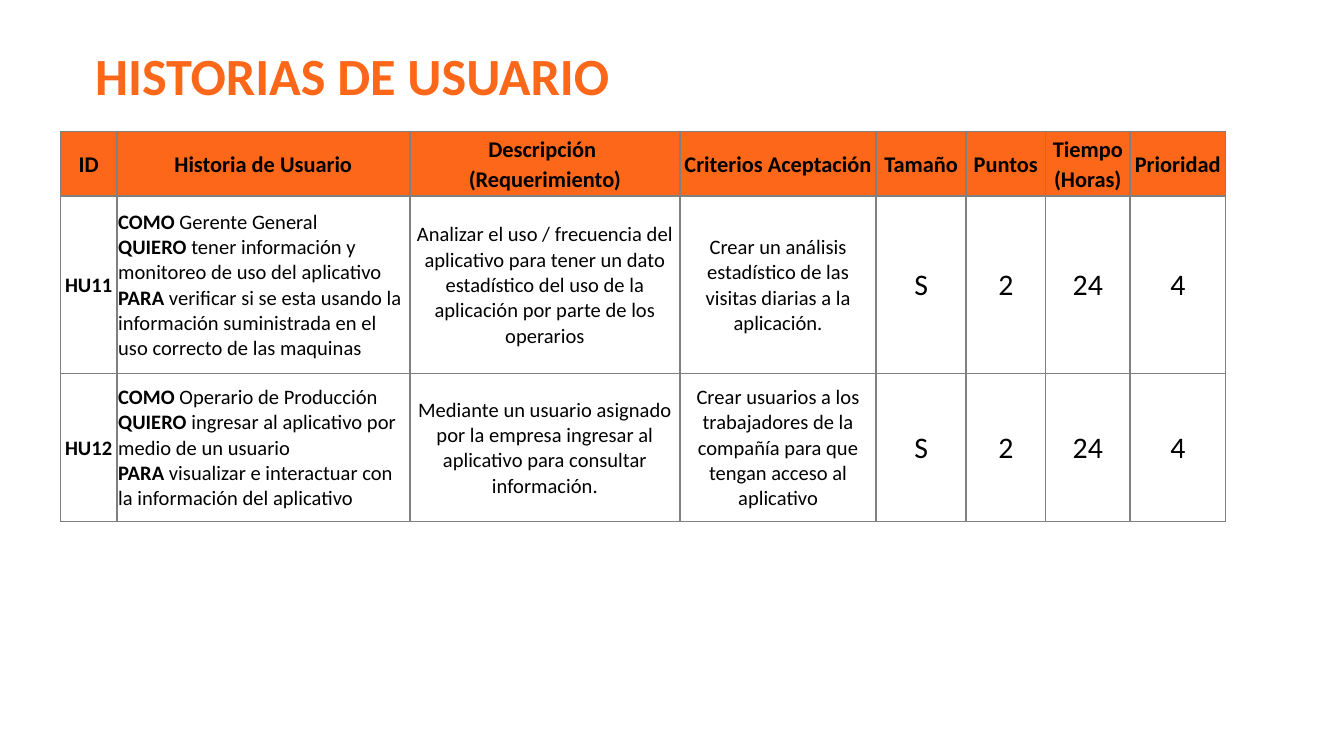
import copy

import pptx
import pptx.dml.color
import pptx.enum.text
import pptx.oxml
import pptx.oxml.ns
import pptx.util

Inches, Pt = pptx.util.Inches, pptx.util.Pt
ALIGN = pptx.enum.text.PP_ALIGN
ANCHOR = pptx.enum.text.MSO_ANCHOR

# Content: a story is a list of (keyword, rest of the line)
TITLE = "HISTORIAS DE USUARIO"
HEADERS = ["ID", "Historia de Usuario", "Descripción \v(Requerimiento)", "Criterios Aceptación",
           "Tamaño", "Puntos", "Tiempo (Horas)", "Prioridad"]
STORIES = [
    ["HU11",
     [("COMO", " Gerente General"),
      ("QUIERO", " tener información y monitoreo de uso del aplicativo"),
      ("PARA", " verificar si se esta usando la información suministrada en el uso correcto "
               "de las maquinas")],
     "Analizar el uso / frecuencia del aplicativo para tener un dato estadístico del uso "
     "de la aplicación por parte de los operarios",
     "Crear un análisis estadístico de las visitas diarias a la aplicación.",
     "S", "2", "24", "4"],
    ["HU12",
     [("COMO", " Operario de Producción"),
      ("QUIERO", " ingresar al aplicativo por medio de un usuario"),
      ("PARA", " visualizar e interactuar con la información del aplicativo")],
     "Mediante un usuario asignado por la empresa ingresar al aplicativo para consultar "
     "información.",
     "Crear usuarios a los trabajadores de la compañía para que tengan acceso al aplicativo",
     "S", "2", "24", "4"],
]

# Style and grid
COLORS = {"accent": "FC671A", "text": "000000", "border": "808080"}
FONT = "Calibri"
SLIDE_WIDTH = 10
SLIDE_HEIGHT = SLIDE_WIDTH * 9 / 16
TITLE_BOX = (0.61, 0.27, 4.48, 0.57)
TABLE_ORIGIN = (0.45, 0.98)
COLUMNS = [0.42, 2.18, 2.01, 1.46, 0.67, 0.59, 0.63, 0.71]
ROWS = [0.48, 1.32, 1.1]
STORY_COLUMN, FIRST_ESTIMATE_COLUMN = 1, 4


def format_run(run, size, bold, color):
    run.font.name = FONT
    run.font.size = Pt(size)
    run.font.bold = bold
    run.font.color.rgb = pptx.dml.color.RGBColor.from_string(COLORS[color])


def write_text(paragraph, content, size, bold, color="text"):
    if isinstance(content, str):
        paragraph.text = content
        for run in paragraph.runs:
            format_run(run, size, bold, color)
    else:
        for index, line in enumerate(content):
            if index:
                paragraph.add_line_break()
            for text, is_bold in zip(line, (True, False)):
                run = paragraph.add_run()
                run.text = text
                format_run(run, size, is_bold, color)
    # Line breaks take the size of the text around them
    for line_break in paragraph._p.findall(pptx.oxml.ns.qn("a:br")):
        line_break.append(copy.deepcopy(paragraph.runs[0].font._element))


def set_borders(cell):
    properties = cell._tc.get_or_add_tcPr()
    for index, side in enumerate(("lnL", "lnR", "lnT", "lnB")):
        properties.insert(index, pptx.oxml.parse_xml(
            f'<a:{side} {pptx.oxml.ns.nsdecls("a")} w="{Pt(1)}"><a:solidFill>'
            f'<a:srgbClr val="{COLORS["border"]}"/></a:solidFill></a:{side}>'))


def fill_cell(cell, content, row, column):
    is_header = row == 0
    is_estimate = not is_header and column >= FIRST_ESTIMATE_COLUMN
    is_spaced = is_header or (is_estimate and row == len(ROWS) - 1)

    cell.vertical_anchor = ANCHOR.MIDDLE
    cell.margin_left = cell.margin_right = Inches(0.03 if is_spaced else 0.01)
    cell.margin_top = Inches(0 if is_spaced else 0.01)
    cell.margin_bottom = 0
    if is_header:
        cell.fill.solid()
        cell.fill.fore_color.rgb = pptx.dml.color.RGBColor.from_string(COLORS["accent"])
    else:
        cell.fill.background()
    set_borders(cell)

    paragraph = cell.text_frame.paragraphs[0]
    is_story = not is_header and column == STORY_COLUMN
    paragraph.alignment = ALIGN.LEFT if is_story else ALIGN.CENTER
    if is_spaced:
        paragraph.line_spacing = 1.07
        paragraph.space_after = Pt(8)
    size = 12 if is_header else 16 if is_estimate else 11
    write_text(paragraph, content, size, is_header or column == 0)


def main():
    presentation = pptx.Presentation()
    presentation.slide_width = Inches(SLIDE_WIDTH)
    presentation.slide_height = Inches(SLIDE_HEIGHT)
    slide = presentation.slides.add_slide(presentation.slide_layouts[6])

    # Title
    title = slide.shapes.add_textbox(*map(Inches, TITLE_BOX))
    title.text_frame.word_wrap = True
    write_text(title.text_frame.paragraphs[0], TITLE, 28, True, "accent")

    # Table of user stories
    table = slide.shapes.add_table(
        len(ROWS), len(COLUMNS), *map(Inches, TABLE_ORIGIN),
        Inches(sum(COLUMNS)), Inches(sum(ROWS))).table
    for column, width in zip(table.columns, COLUMNS):
        column.width = Inches(width)
    for row, height in zip(table.rows, ROWS):
        row.height = Inches(height)
    for row, contents in enumerate([HEADERS, *STORIES]):
        for column, content in enumerate(contents):
            fill_cell(table.cell(row, column), content, row, column)

    presentation.save("out.pptx")


if __name__ == "__main__":
    main()
